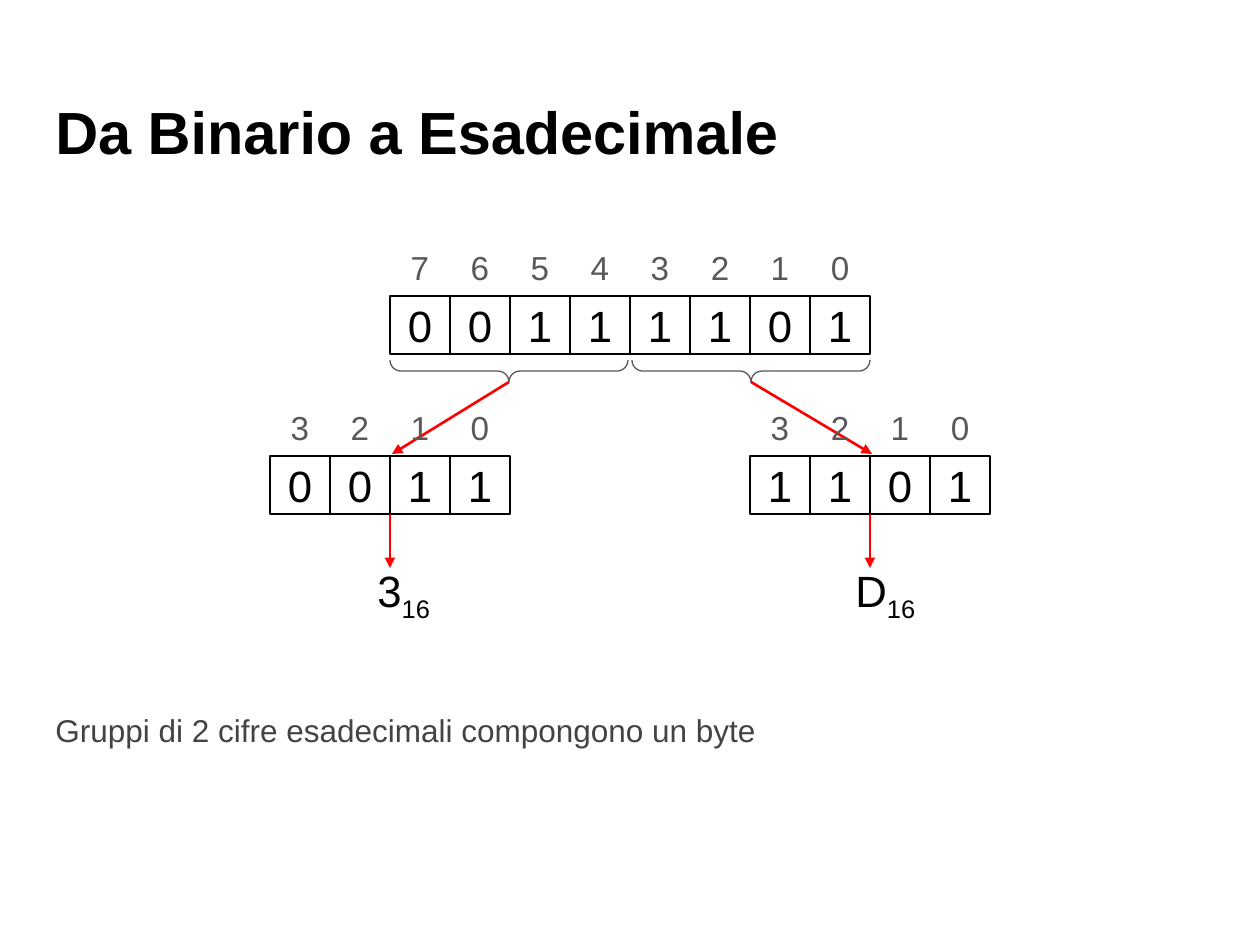
from lxml import etree
from pptx import Presentation
from pptx.dml.color import RGBColor
from pptx.enum.shapes import MSO_CONNECTOR, MSO_SHAPE
from pptx.enum.text import MSO_ANCHOR, PP_ALIGN
from pptx.oxml.ns import qn
from pptx.util import Inches, Pt

STRAIGHT = MSO_CONNECTOR.STRAIGHT
RECTANGLE = MSO_SHAPE.RECTANGLE
LEFT_BRACE = MSO_SHAPE.LEFT_BRACE
TOP, MIDDLE = MSO_ANCHOR.TOP, MSO_ANCHOR.MIDDLE
LEFT, CENTER = PP_ALIGN.LEFT, PP_ALIGN.CENTER

BLACK = RGBColor(0x00, 0x00, 0x00)
GRAY = RGBColor(0x59, 0x59, 0x59)
DARK_GRAY = RGBColor(0x43, 0x43, 0x43)
RED = RGBColor(0xFF, 0x00, 0x00)

FONT = "Arial"
PX_PER_INCH = 126
INSET = Inches(0.1)
CELL = 60
CELL_HEIGHT = 58
BYTE_LEFT, BYTE_TOP = 390, 296
NIBBLE_TOP = 456
BITS = "00111101"


def px(length):
    return round(length * Inches(1) / PX_PER_INCH)


def box(left, top, width, height):
    return px(left), px(top), px(width), px(height)


def write(holder, text, size, color, align=LEFT, anchor=TOP, bold=False):
    frame = holder.text_frame
    frame.word_wrap = True
    frame.vertical_anchor = anchor
    frame.margin_left = frame.margin_right = INSET
    frame.margin_top = frame.margin_bottom = INSET
    paragraph = frame.paragraphs[0]
    paragraph.alignment = align
    paragraph.add_run().text = text
    font = paragraph.font
    font.name, font.size, font.bold = FONT, Pt(size), bold
    font.color.rgb = color
    return paragraph


def add_text(slide, bounds, text, size, color, **style):
    return write(slide.shapes.add_textbox(*box(*bounds)), text, size, color, **style)


def add_outline(slide, kind, bounds, color, weight):
    outline = slide.shapes.add_shape(kind, *box(*bounds))
    outline.shadow.inherit = False
    outline.fill.background()
    outline.line.color.rgb = color
    outline.line.width = Pt(weight)
    return outline


def add_register(slide, left, top, bits):
    for column, bit in enumerate(bits):
        x = left + column * CELL
        cell = add_outline(slide, RECTANGLE, (x, top, CELL, CELL_HEIGHT), BLACK, 1.5)
        write(cell, bit, 25, BLACK, align=CENTER, anchor=MIDDLE)
        position = str(len(bits) - 1 - column)
        add_text(slide, (x, top - CELL_HEIGHT, CELL, CELL_HEIGHT), position, 19, GRAY,
                 align=CENTER, anchor=MIDDLE)


def add_brace(slide, center_x, center_y):
    thickness, span = 22, 238
    bounds = (center_x - thickness // 2, center_y - span // 2, thickness, span)
    brace = add_outline(slide, LEFT_BRACE, bounds, GRAY, 0.75)
    brace.rotation = 270
    brace.adjustments[0] = brace.adjustments[1] = 0.5


def add_arrow(slide, start, end):
    arrow = slide.shapes.add_connector(STRAIGHT, *box(*start, *end))
    arrow.line.color.rgb = RED
    arrow.line.width = Pt(1.5)
    etree.SubElement(arrow.line._get_or_add_ln(), qn("a:tailEnd"), type="triangle")
    etree.SubElement(arrow._element.spPr, qn("a:effectLst"))


def add_hex_digit(slide, left, width, digit):
    paragraph = add_text(slide, (left, 551, width, 78), digit, 25, BLACK)
    base = paragraph.add_run()
    base.text = "16"
    base.font._element.set("baseline", "-25000")


def add_nibble(slide, left, brace_x, bits, digit, digit_left, digit_width):
    middle = left + 2 * CELL
    add_brace(slide, brace_x, 371)
    add_arrow(slide, (brace_x, 382), (middle + 2, NIBBLE_TOP - 2))
    add_register(slide, left, NIBBLE_TOP, bits)
    add_arrow(slide, (middle, NIBBLE_TOP + CELL_HEIGHT), (middle, 568))
    add_hex_digit(slide, digit_left, digit_width, digit)


def main():
    deck = Presentation()
    deck.slide_width, deck.slide_height = Inches(10), Inches(7.5)
    slide = deck.slides.add_slide(deck.slide_layouts[6])

    add_text(slide, (43, 82, 1174, 105), "Da Binario a Esadecimale", 34, BLACK, bold=True)
    add_register(slide, BYTE_LEFT, BYTE_TOP, BITS)
    add_nibble(slide, BYTE_LEFT - 2 * CELL, 509, BITS[:4], "3", 365, 78)
    add_nibble(slide, BYTE_LEFT + 6 * CELL, 751, BITS[4:], "D", 843, 88)
    note = add_text(slide, (43, 698, 1174, 72),
                    "Gruppi di 2 cifre esadecimali compongono un byte", 18, DARK_GRAY)
    note.space_after = Pt(12)

    deck.save("out.pptx")


if __name__ == "__main__":
    main()
